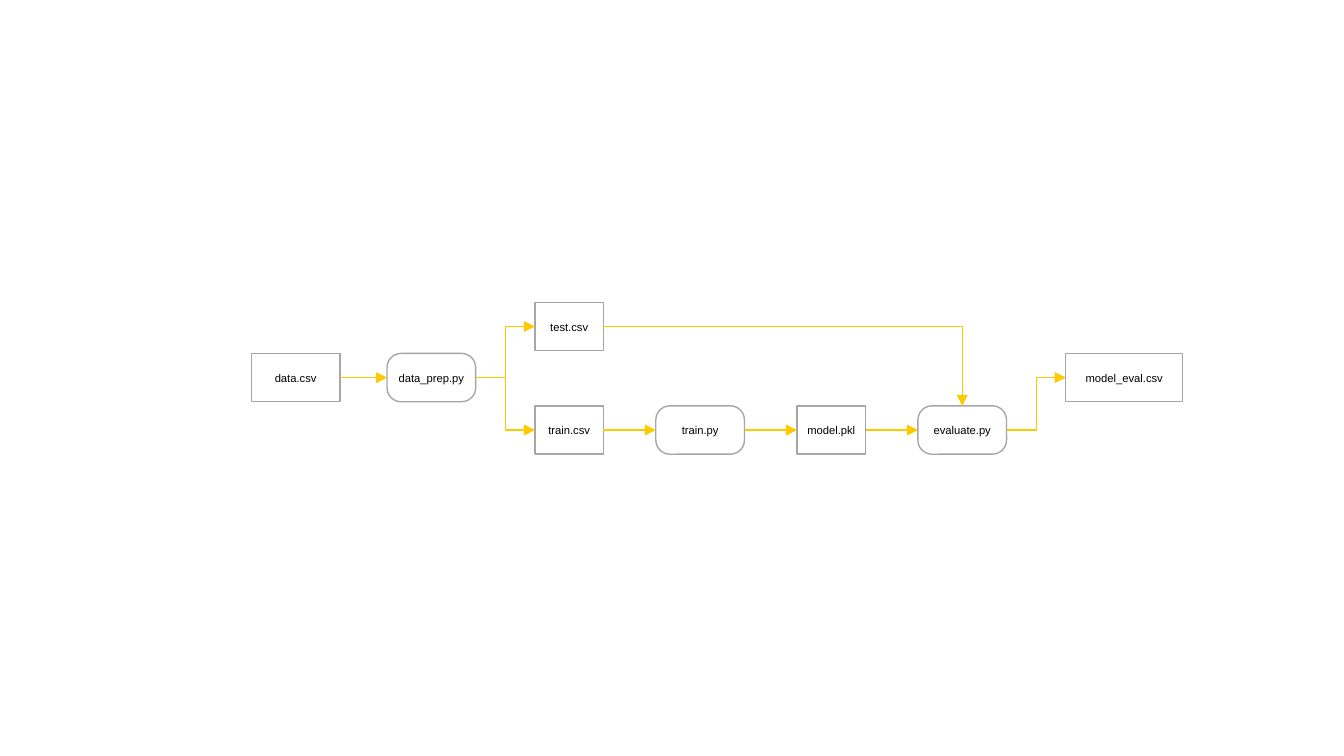
import pptx
import pptx.dml.color
import pptx.enum.shapes
import pptx.enum.text
import pptx.oxml
import pptx.oxml.ns
import pptx.util

SHAPES = pptx.enum.shapes.MSO_SHAPE
CONNECTORS = pptx.enum.shapes.MSO_CONNECTOR
TOP, LEFT, BOTTOM, RIGHT = range(4)

# Slide in 16:9 format
SLIDE_WIDTH = 10
SLIDE_HEIGHT = SLIDE_WIDTH * 9 / 16

# Grid: each column is a width and the gap after it
GRID_LEFT = 1.87
COLUMNS = [(0.66, 0.35), (0.66, 0.44), (0.51, 0.39), (0.66, 0.39),
           (0.51, 0.39), (0.66, 0.44), (0.87, 0)]
ROW_TOPS = [2.25, 2.63, 3.02]
ROW_HEIGHT = 0.36

GREY, YELLOW, BLACK = "A6A6A6", "FFC902", "000000"
LINE_WIDTH = pptx.util.Pt(0.75)
MARGIN = pptx.util.Inches(0.03)
FRAME_FORMAT = {
    "margin_left": MARGIN, "margin_right": MARGIN,
    "margin_top": MARGIN, "margin_bottom": MARGIN,
    "vertical_anchor": pptx.enum.text.MSO_ANCHOR.MIDDLE,
    "word_wrap": True,
}
FONT_FORMAT = {"name": "Arial", "size": pptx.util.Pt(6)}

# Pipeline steps: name, column, row
NODES = [
    ("data.csv", 0, 1), ("data_prep.py", 1, 1),
    ("test.csv", 2, 0), ("train.csv", 2, 2),
    ("train.py", 3, 2), ("model.pkl", 4, 2),
    ("evaluate.py", 5, 2), ("model_eval.csv", 6, 1),
]
# Arrows from right side to left side
STRAIGHT_ARROWS = [("data.csv", "data_prep.py"), ("train.csv", "train.py"),
                   ("train.py", "model.pkl"), ("model.pkl", "evaluate.py")]
ELBOW_ARROWS = [("data_prep.py", "train.csv"), ("data_prep.py", "test.csv"),
                ("evaluate.py", "model_eval.csv")]


def color(value):
    return pptx.dml.color.RGBColor.from_string(value)


def apply_format(target, values):
    for name, value in values.items():
        setattr(target, name, value)


def set_line(line, value):
    line.color.rgb = color(value)
    line.width = LINE_WIDTH


def column_left(column):
    return GRID_LEFT + sum(width + gap for width, gap in COLUMNS[:column])


def add_node(slide, name, column, row):
    """Scripts are rounded boxes, files are square ones."""
    is_script = name.endswith(".py")
    kind = SHAPES.ROUNDED_RECTANGLE if is_script else SHAPES.RECTANGLE
    box = (column_left(column), ROW_TOPS[row], COLUMNS[column][0], ROW_HEIGHT)
    shape = slide.shapes.add_shape(kind, *map(pptx.util.Inches, box))
    if is_script:
        shape.adjustments[0] = 0.29
    shape.shadow.inherit = False
    shape.fill.background()
    set_line(shape.line, GREY)
    apply_format(shape.text_frame, FRAME_FORMAT)
    paragraph = shape.text_frame.paragraphs[0]
    paragraph.alignment = pptx.enum.text.PP_ALIGN.CENTER
    run = paragraph.add_run()
    run.text = name
    apply_format(run.font, FONT_FORMAT)
    run.font.color.rgb = color(BLACK)
    return shape


def add_arrow(slide, start, end, kind, end_side=LEFT):
    connector = slide.shapes.add_connector(kind, 0, 0, 0, 0)
    connector.begin_connect(start, RIGHT)
    connector.end_connect(end, end_side)
    set_line(connector.line, YELLOW)
    properties = connector._element.spPr
    namespace = pptx.oxml.ns.nsdecls("a")
    properties.find(pptx.oxml.ns.qn("a:ln")).append(
        pptx.oxml.parse_xml(f'<a:tailEnd {namespace} type="triangle"/>'))
    properties.append(pptx.oxml.parse_xml(f"<a:effectLst {namespace}/>"))
    # A turn into the top side has a single corner
    if end_side == TOP:
        geometry = properties.find(pptx.oxml.ns.qn("a:prstGeom"))
        geometry.set("prst", "bentConnector2")


def main():
    presentation = pptx.Presentation()
    presentation.slide_width = pptx.util.Inches(SLIDE_WIDTH)
    presentation.slide_height = pptx.util.Inches(SLIDE_HEIGHT)
    slide = presentation.slides.add_slide(presentation.slide_layouts[6])

    # Files and scripts
    nodes = {name: add_node(slide, name, column, row)
             for name, column, row in NODES}

    # Flow between them
    for start, end in STRAIGHT_ARROWS:
        add_arrow(slide, nodes[start], nodes[end], CONNECTORS.STRAIGHT)
    for start, end in ELBOW_ARROWS:
        add_arrow(slide, nodes[start], nodes[end], CONNECTORS.ELBOW)
    add_arrow(slide, nodes["test.csv"], nodes["evaluate.py"],
              CONNECTORS.ELBOW, TOP)

    presentation.save("out.pptx")


if __name__ == "__main__":
    main()
